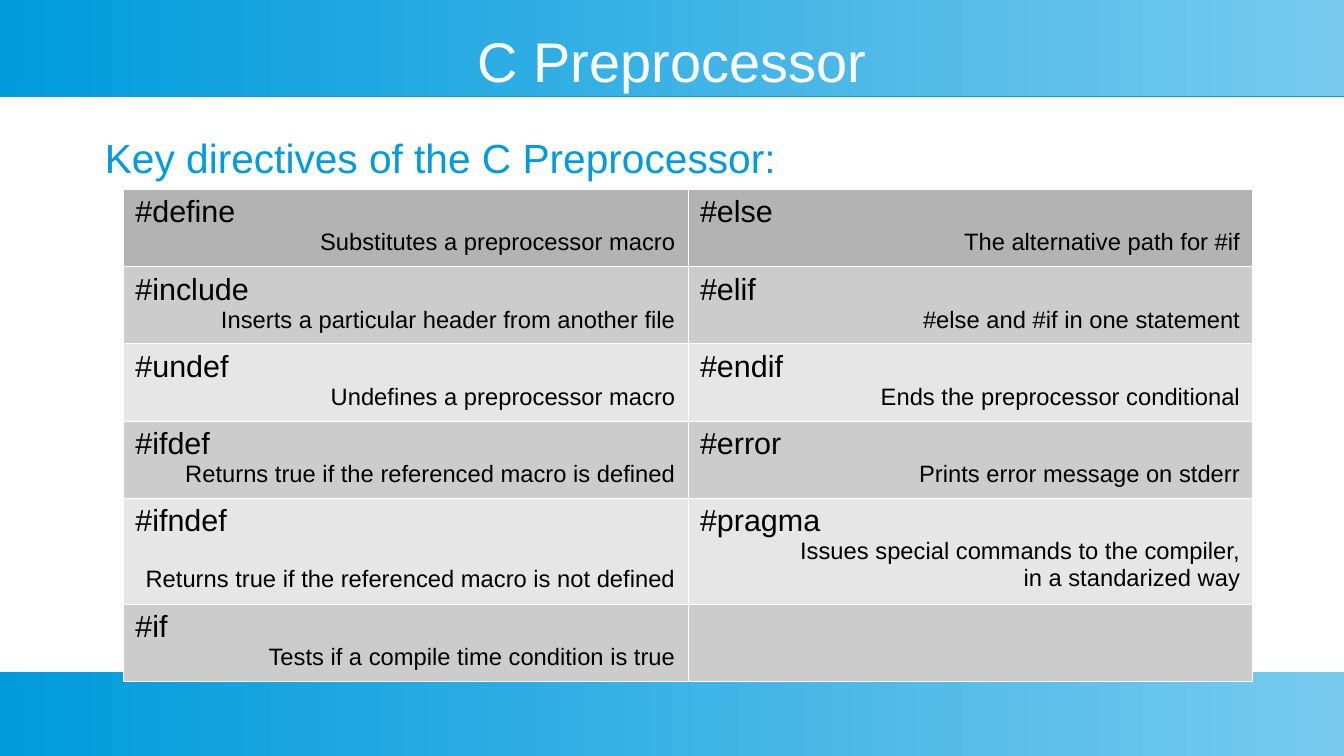
from lxml.etree import SubElement
from pptx import Presentation
from pptx.dml.color import RGBColor
from pptx.enum.shapes import MSO_CONNECTOR, MSO_SHAPE
from pptx.enum.text import MSO_ANCHOR, PP_ALIGN
from pptx.oxml.ns import qn
from pptx.util import Inches, Pt

BLUE = RGBColor(0x00, 0x9B, 0xDD)
LIGHT_BLUE = RGBColor(0x77, 0xCA, 0xEE)
WHITE = RGBColor(0xFF, 0xFF, 0xFF)
BLACK = RGBColor(0x00, 0x00, 0x00)
HEADER_GRAY = RGBColor(0xB3, 0xB3, 0xB3)
DARK_GRAY = RGBColor(0xCC, 0xCC, 0xCC)
LIGHT_GRAY = RGBColor(0xE6, 0xE6, 0xE6)

SLIDE_WIDTH, SLIDE_HEIGHT = 11.02, 6.2
COLUMN_WIDTH = 4.63
ROW_HEIGHTS = [0.6, 0.6, 0.6, 0.6, 0.82, 0.6]

TITLE_FONT = {"name": "Arial", "size": Pt(33), "bold": False}
HEADING_FONT = {"name": "Arial", "size": Pt(24), "bold": False}
DIRECTIVE_FONT = {"name": "Arial", "size": Pt(18), "bold": False}
MEANING_FONT = {"name": "Arial", "size": Pt(14), "bold": False}

# Each entry is a directive followed by the lines that explain it.
DIRECTIVES = [
    [("#define", "Substitutes a preprocessor macro"),
     ("#else", "The alternative path for #if")],
    [("#include", "Inserts a particular header from another file"),
     ("#elif", "#else and #if in one statement")],
    [("#undef", "Undefines a preprocessor macro"),
     ("#endif", "Ends the preprocessor conditional")],
    [("#ifdef", "Returns true if the referenced macro is defined"),
     ("#error", "Prints error message on stderr")],
    [("#ifndef", "Returns true if the referenced macro is not defined"),
     ("#pragma", "Issues special commands to the compiler,", "in a standarized way")],
    [("#if", "Tests if a compile time condition is true"), ()],
]


def write(paragraph, text, font_format, color, align=PP_ALIGN.LEFT):
    paragraph.alignment = align
    run = paragraph.add_run()
    run.text = text
    for attribute, value in font_format.items():
        setattr(run.font, attribute, value)
    run.font.color.rgb = color


def add_band(slide, top, height):
    """Add a full-width bar that fades from blue to light blue."""
    band = slide.shapes.add_shape(
        MSO_SHAPE.RECTANGLE, 0, Inches(top), Inches(SLIDE_WIDTH), Inches(height))
    band.shadow.inherit = False
    band.line.fill.background()
    band.fill.gradient()
    band.fill.gradient_angle = 0
    for stop, color in zip(band.fill.gradient_stops, (BLUE, LIGHT_BLUE)):
        stop.color.rgb = color


def add_band_edge(slide, top):
    edge = slide.shapes.add_connector(
        MSO_CONNECTOR.STRAIGHT, 0, Inches(top), Inches(SLIDE_WIDTH), Inches(top))
    edge.line.color.rgb = BLUE
    edge.line.width = Pt(0.9)
    SubElement(edge._element.spPr, qn("a:effectLst"))


def add_text(slide, box, text, font_format, color, align=PP_ALIGN.LEFT):
    frame = slide.shapes.add_textbox(*map(Inches, box)).text_frame
    layout = {"word_wrap": True, "vertical_anchor": MSO_ANCHOR.MIDDLE,
              "margin_left": 0, "margin_right": 0, "margin_top": 0, "margin_bottom": 0}
    for attribute, value in layout.items():
        setattr(frame, attribute, value)
    write(frame.paragraphs[0], text, font_format, color, align)


def add_borders(cell):
    properties = cell._tc.get_or_add_tcPr()
    for side in ("lnL", "lnR", "lnT", "lnB"):
        border = SubElement(properties, qn(f"a:{side}"), w=str(Pt(0.06)))
        fill = SubElement(border, qn("a:solidFill"))
        SubElement(fill, qn("a:srgbClr"), val=str(WHITE))


def fill_cell(cell, entry, color, line_count):
    """Write an entry, pushing its meaning down to the row's last line."""
    add_borders(cell)
    cell.fill.solid()
    cell.fill.fore_color.rgb = color
    if not entry:
        return
    directive, *meaning = entry
    frame = cell.text_frame
    write(frame.paragraphs[0], directive, DIRECTIVE_FONT, BLACK)
    for index, line in enumerate(meaning):
        paragraph = frame.add_paragraph()
        write(paragraph, line, MEANING_FONT, BLACK, PP_ALIGN.RIGHT)
        if index == 0:
            paragraph.space_before = Pt(16 * (line_count - len(entry)))


def add_directive_table(slide):
    table = slide.shapes.add_table(
        len(DIRECTIVES), 2, Inches(1.01), Inches(1.55),
        Inches(2 * COLUMN_WIDTH), Inches(sum(ROW_HEIGHTS))).table
    table.first_row = table.horz_banding = False
    for column in table.columns:
        column.width = Inches(COLUMN_WIDTH)
    for index, (entries, height) in enumerate(zip(DIRECTIVES, ROW_HEIGHTS)):
        row = table.rows[index]
        row.height = Inches(height)
        banding = DARK_GRAY if index % 2 else LIGHT_GRAY
        color = banding if index else HEADER_GRAY
        line_count = max(map(len, entries))
        for cell, entry in zip(row.cells, entries):
            fill_cell(cell, entry, color, line_count)


def main():
    presentation = Presentation()
    presentation.slide_width = Inches(SLIDE_WIDTH)
    presentation.slide_height = Inches(SLIDE_HEIGHT)
    slide = presentation.slides.add_slide(presentation.slide_layouts[6])

    add_band(slide, 0, 0.79)
    add_band_edge(slide, 0.79)
    add_band(slide, 5.51, 0.69)
    add_text(slide, (0.39, 0.23, 10.24, 0.52), "C Preprocessor",
             TITLE_FONT, WHITE, PP_ALIGN.CENTER)
    add_text(slide, (0.86, 1.1, 9.77, 0.38), "Key directives of the C Preprocessor:",
             HEADING_FONT, BLUE)
    add_directive_table(slide)
    presentation.save("out.pptx")


if __name__ == "__main__":
    main()
